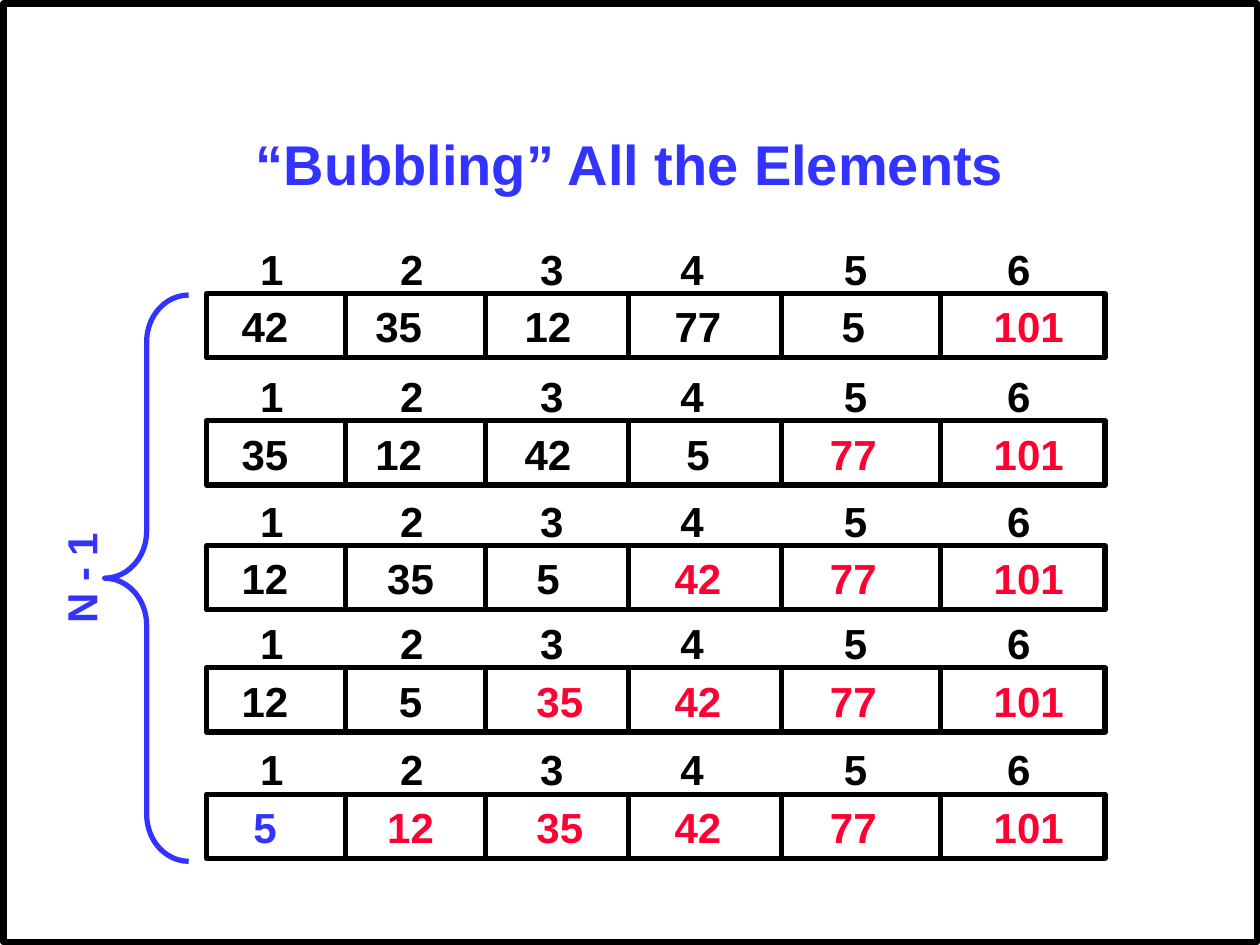
from dataclasses import dataclass

from lxml.etree import SubElement
from pptx import Presentation
from pptx.dml.color import RGBColor as RGB
from pptx.enum.shapes import MSO_CONNECTOR as CONNECTOR, MSO_SHAPE as SHAPE
from pptx.enum.text import MSO_ANCHOR as ANCHOR, PP_ALIGN as ALIGN
from pptx.oxml.ns import qn
from pptx.util import Pt


@dataclass(frozen=True)
class Theme:
    font: str = "Arial"
    title_size: float = 32
    body_size: float = 24
    ink: RGB = RGB(0x00, 0x00, 0x00)
    accent: RGB = RGB(0x33, 0x33, 0xFF)
    settled: RGB = RGB(0xFF, 0x00, 0x33)
    line: float = 3
    frame_line: float = 3.75


THEME = Theme()

# Array geometry, in points
ARRAY_LEFT, ARRAY_WIDTH, ARRAY_HEIGHT = 118.1, 513.4, 36.7
DIVIDERS = (197.6, 277.6, 359.3, 446.7, 537.5)
VALUE_LEFTS = (131, 207.4, 292.7, 378.4, 460.4, 554)
INDEX_LEFT, INDEX_RISE = 141.5, 32.4
INDEX_TABS = (80.05, 160.1, 240.15, 333.55, 426.95)
TEXT_HEIGHT, MARGIN = 36, 7.2
DIGIT, STEP = 13.35, 6.67  # digit width and one step of indent

# One pass per array: top, values, indent steps of the values
PASSES = (
    (167.8, (42, 35, 12, 77, 5, 101), (0, 0, 0, 0, 2, 1)),
    (240.5, (35, 12, 42, 5, 77, 101), (0, 0, 0, 1, 1, 1)),
    (311.8, (12, 35, 5, 42, 77, 101), (0, 1, 1, 0, 1, 1)),
    (381.6, (12, 5, 35, 42, 77, 101), (0, 2, 1, 0, 1, 1)),
    (453.8, (5, 12, 35, 42, 77, 101), (1, 1, 1, 0, 1, 1)),
)


def add_text(shapes, text, left, top, width, height=TEXT_HEIGHT, *,
             size=THEME.body_size, color=THEME.ink, align=ALIGN.LEFT,
             anchor=ANCHOR.TOP, wrap=False, indent=0, tabs=(), rotation=0):
    shape = shapes.add_textbox(Pt(left), Pt(top), Pt(width), Pt(height))
    shape.rotation = rotation
    frame = shape.text_frame
    frame.word_wrap = wrap
    frame.vertical_anchor = anchor
    frame.margin_left = Pt(MARGIN + indent)
    paragraph = frame.paragraphs[0]
    paragraph.alignment = align
    if tabs:
        tab_list = SubElement(paragraph._p.get_or_add_pPr(), qn("a:tabLst"))
        for position in tabs:
            SubElement(tab_list, qn("a:tab"), pos=str(Pt(position)), algn="l")
    run = paragraph.add_run()
    run.text = text
    run.font.name = THEME.font
    run.font.size = Pt(size)
    run.font.bold = True
    run.font.color.rgb = color
    return shape


def add_outline(shapes, kind, left, top, width, height, *,
                color=THEME.ink, weight=THEME.line):
    shape = shapes.add_shape(kind, Pt(left), Pt(top), Pt(width), Pt(height))
    shape.shadow.inherit = False
    shape.fill.background()
    shape.line.color.rgb = color
    shape.line.width = Pt(weight)
    return shape


def add_divider(shapes, x, top, bottom):
    connector = shapes.add_connector(CONNECTOR.STRAIGHT, Pt(x), Pt(top), Pt(x), Pt(bottom))
    connector.line.color.rgb = THEME.ink
    connector.line.width = Pt(THEME.line)
    SubElement(connector._element.spPr, qn("a:effectLst"))


def value_color(column, pass_number, count):
    if column >= count - pass_number:
        return THEME.settled
    # After the last pass the only value left is in place as well
    return THEME.accent if pass_number == count - 1 else THEME.ink


def add_array(slide, pass_number, top, values, indents):
    shapes = slide.shapes.add_group_shape().shapes
    add_outline(shapes, SHAPE.RECTANGLE, ARRAY_LEFT, top, ARRAY_WIDTH, ARRAY_HEIGHT)
    for x in DIVIDERS:
        add_divider(shapes, x, top, top + ARRAY_HEIGHT)

    # Values
    for column, (value, left, steps) in enumerate(zip(values, VALUE_LEFTS, indents)):
        text, indent = str(value), steps * STEP
        add_text(shapes, text, left, top + 0.6, 2 * MARGIN + indent + len(text) * DIGIT,
                 indent=indent, color=value_color(column, pass_number, len(values)))

    # Positions above the cells
    positions = "\t".join(str(n) for n in range(1, len(values) + 1))
    add_text(shapes, positions, INDEX_LEFT, top - INDEX_RISE, 455, tabs=INDEX_TABS)


def add_pass_count(slide):
    shapes = slide.shapes.add_group_shape().shapes
    brace = add_outline(shapes, SHAPE.LEFT_BRACE, 59.8, 168.6, 48, 323.6, color=THEME.accent)
    brace.adjustments[0] = 0.56
    brace.adjustments[1] = 0.5
    add_text(shapes, "N - 1", 13, 312.5, 66.2, color=THEME.accent, rotation=270)


def main():
    presentation = Presentation()
    presentation.slide_width, presentation.slide_height = Pt(720), Pt(540)
    slide = presentation.slides.add_slide(presentation.slide_layouts[6])

    # Frame and title
    add_outline(slide.shapes, SHAPE.RECTANGLE, 2, 2, 716.4, 536.4, weight=THEME.frame_line)
    add_text(slide.shapes, "“Bubbling” All the Elements", 54, 48, 612, 90,
             size=THEME.title_size, color=THEME.accent, align=ALIGN.CENTER,
             anchor=ANCHOR.MIDDLE, wrap=True)

    # Array after each pass
    for pass_number, (top, values, indents) in enumerate(PASSES, start=1):
        add_array(slide, pass_number, top, values, indents)

    # Number of passes
    add_pass_count(slide)
    presentation.save("out.pptx")


if __name__ == "__main__":
    main()
